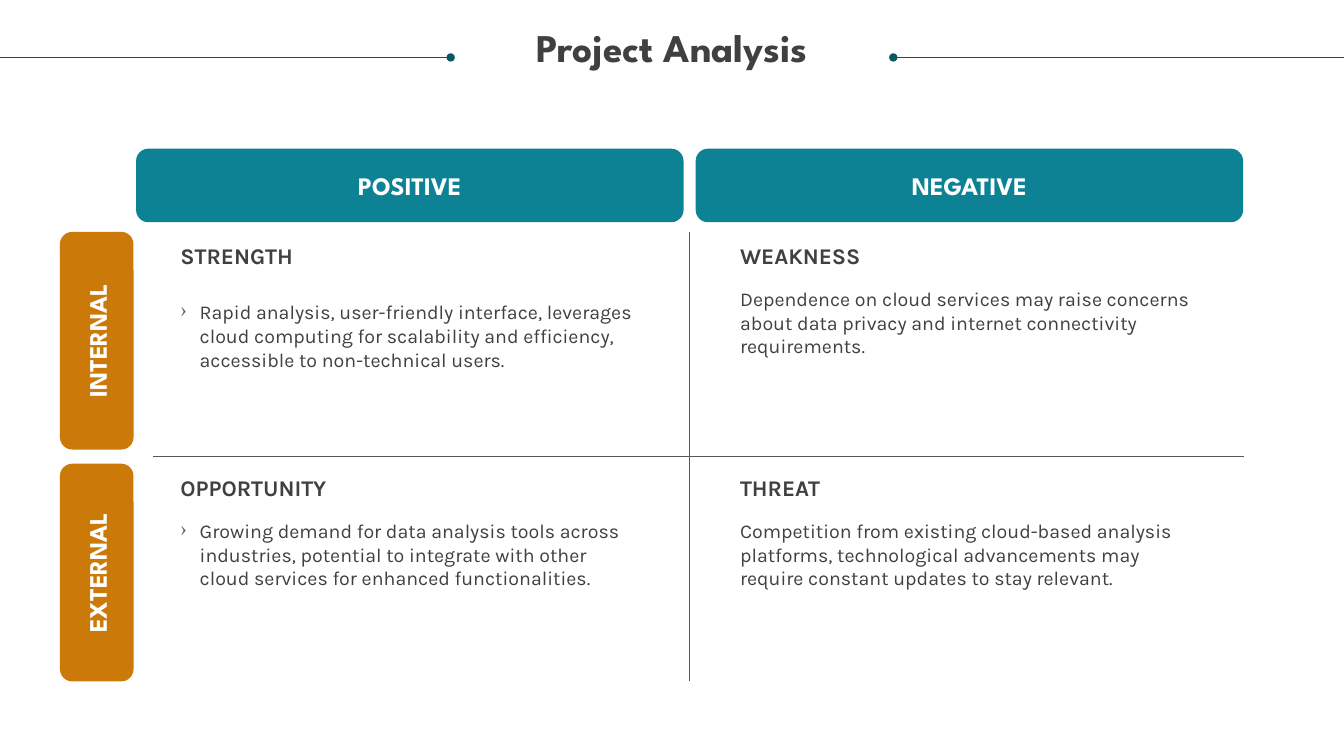
from dataclasses import dataclass

from lxml import etree
from pptx import Presentation
from pptx import util as u
from pptx.dml.color import RGBColor
from pptx.enum import shapes, text
from pptx.oxml import ns


@dataclass(frozen=True)
class Theme:
    teal: str = "0D8295"
    orange: str = "CB7A09"
    title_rule: str = "085764"
    grid_rule: str = "585858"
    ink: str = "404040"
    white: str = "FFFFFF"
    display: str = "League Spartan"
    body: str = "Karla"
    title_size: int = 28
    label_size: int = 18
    heading_size: int = 16
    body_size: int = 14
    rule_width: float = 0.5


class MatrixSlide:
    """Draws a two-by-two analysis grid on one slide; lengths are inches."""

    width, height = 13.33, 7.5
    left, top = 1.35, 2.3
    column_step, row_step = 5.55, 2.3
    column_width, row_height = 5.43, 2.16
    bar = 0.73
    text_inset, text_width = 0.44, 4.55

    def __init__(self, deck, theme):
        self.theme = theme
        deck.slide_width, deck.slide_height = u.Inches(self.width), u.Inches(self.height)
        self.page = deck.slides.add_slide(deck.slide_layouts[6])

    def column(self, index, inset=0):
        return self.left + index * self.column_step + inset

    def row(self, index, inset=0):
        return self.top + index * self.row_step + inset

    def style(self, para, font, size, color, bold=False):
        for span in para.runs:
            span.font.name = font
            span.font.size = u.Pt(size)
            span.font.bold = bold
            span.font.color.rgb = RGBColor.from_string(color)

    def text_block(self, left, top, width, height, words, font, size, bold=False):
        box = self.page.shapes.add_textbox(*map(u.Inches, (left, top, width, height)))
        frame = box.text_frame
        frame.word_wrap = True
        frame.margin_left = frame.margin_right = 0
        frame.margin_top = frame.margin_bottom = 0
        frame.text = words
        para = frame.paragraphs[0]
        self.style(para, font, size, self.theme.ink, bold)
        return para

    def title(self, words):
        para = self.text_block(0.25, 0.28, 12.83, self.bar, words,
                               self.theme.display, self.theme.title_size, True)
        para.alignment = text.PP_ALIGN.CENTER
        para.line_spacing = 0.9

    def rule(self, start, end, color, dot=None):
        line = self.page.shapes.add_connector(
            shapes.MSO_CONNECTOR.STRAIGHT, *map(u.Inches, start + end))
        line.line.color.rgb = RGBColor.from_string(color)
        line.line.width = u.Pt(self.theme.rule_width)
        props = line._element.spPr
        if dot:
            etree.SubElement(props.find(ns.qn("a:ln")), ns.qn(f"a:{dot}"), type="oval")
        etree.SubElement(props, ns.qn("a:effectLst"))

    def label(self, center_x, center_y, length, words, color, rotation=0):
        place = (center_x - length / 2, center_y - self.bar / 2, length, self.bar)
        box = self.page.shapes.add_shape(
            shapes.MSO_SHAPE.ROUNDED_RECTANGLE, *map(u.Inches, place))
        box.rotation = rotation
        box.shadow.inherit = False
        box.fill.solid()
        box.fill.fore_color.rgb = RGBColor.from_string(color)
        box.line.fill.background()
        frame = box.text_frame
        frame.vertical_anchor = text.MSO_ANCHOR.MIDDLE
        frame.text = words
        para = frame.paragraphs[0]
        para.alignment = text.PP_ALIGN.CENTER
        self.style(para, self.theme.display, self.theme.label_size, self.theme.white, True)

    def column_label(self, index, words):
        self.label(self.column(index, self.column_width / 2), 1.84,
                   self.column_width, words, self.theme.teal)

    def row_label(self, index, words):
        self.label(0.96, self.row(index, self.row_height / 2),
                   self.row_height, words, self.theme.orange, 270)

    def bullet(self, para):
        indent = u.Inches(0.19)
        props = para._p.get_or_add_pPr()
        props.set("marL", str(indent))
        props.set("indent", str(-indent))
        color = etree.SubElement(props, ns.qn("a:buClr"))
        etree.SubElement(color, ns.qn("a:srgbClr"), val=self.theme.grid_rule)
        etree.SubElement(props, ns.qn("a:buChar"), char="›")

    def quadrant(self, column, row, heading, words, bulleted=False, drop=0.55):
        left = self.column(column, self.text_inset)
        self.text_block(left, self.row(row, 0.1), self.text_width, 0.27, heading,
                        self.theme.body, self.theme.heading_size, True)
        para = self.text_block(left, self.row(row, drop), self.text_width, 0.71, words,
                               self.theme.body, self.theme.body_size)
        if bulleted:
            self.bullet(para)


def main():
    deck = Presentation()
    theme = Theme()
    slide = MatrixSlide(deck, theme)

    slide.title("Project Analysis")
    slide.rule((0, 0.57), (4.47, 0.57), theme.title_rule, "tailEnd")
    slide.rule((8.86, 0.57), (slide.width, 0.57), theme.title_rule, "headEnd")

    for index, words in enumerate(("POSITIVE", "NEGATIVE")):
        slide.column_label(index, words)
    for index, words in enumerate(("INTERNAL", "EXTERNAL")):
        slide.row_label(index, words)

    slide.rule((1.52, 4.53), (12.34, 4.53), theme.grid_rule)
    slide.rule((6.84, slide.top), (6.84, slide.row(1, slide.row_height)), theme.grid_rule)

    slide.quadrant(0, 0, "STRENGTH",
                   "Rapid analysis, user-friendly interface, leverages cloud computing for "
                   "scalability and efficiency, accessible to non-technical users.",
                   bulleted=True, drop=0.68)
    slide.quadrant(1, 0, "WEAKNESS",
                   "Dependence on cloud services may raise concerns about data privacy and "
                   "internet connectivity requirements.")
    slide.quadrant(0, 1, "OPPORTUNITY",
                   "Growing demand for data analysis tools across industries, potential to "
                   "integrate with other cloud services for enhanced functionalities.",
                   bulleted=True)
    slide.quadrant(1, 1, "THREAT",
                   "Competition from existing cloud-based analysis platforms, technological "
                   "advancements may require constant updates to stay relevant.")

    deck.save("out.pptx")


if __name__ == "__main__":
    main()
